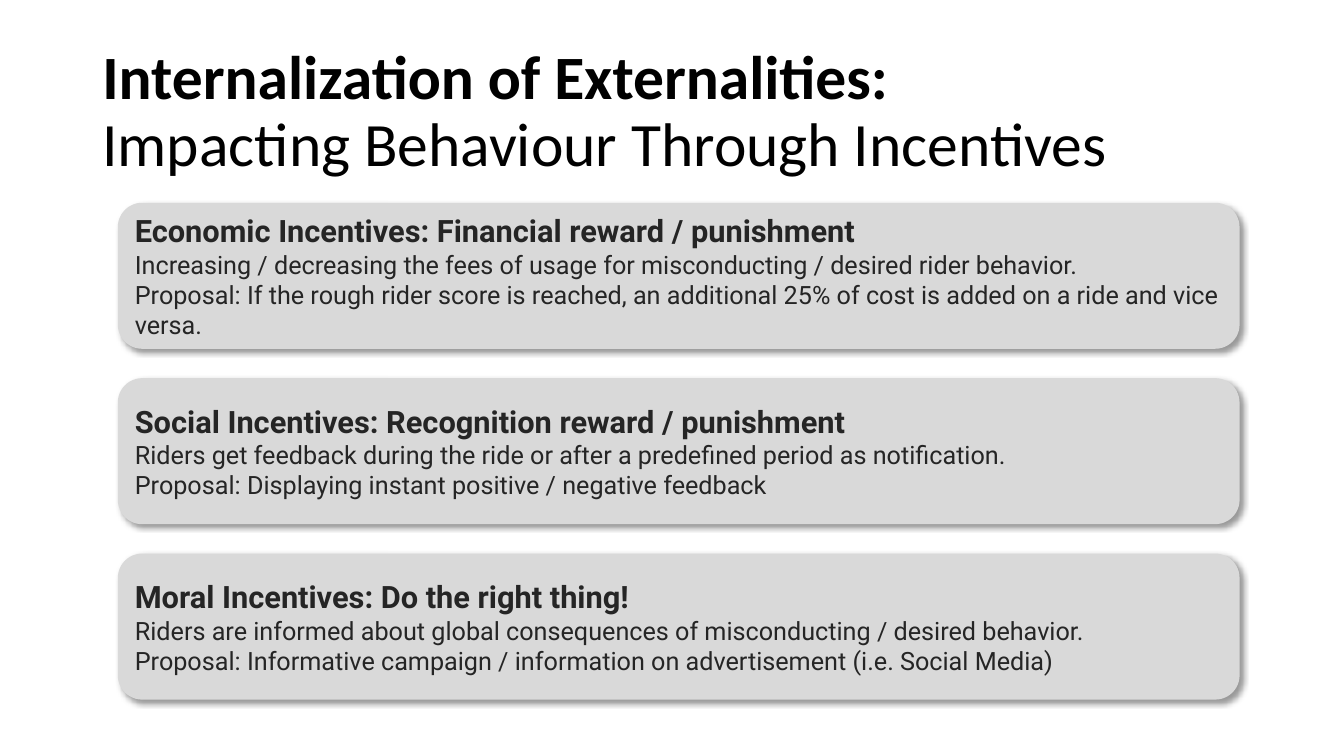
from lxml.etree import SubElement
from pptx import Presentation
from pptx.dml.color import RGBColor
from pptx.enum.shapes import MSO_SHAPE
from pptx.enum.text import MSO_ANCHOR, PP_ALIGN
from pptx.oxml.ns import qn
from pptx.util import Cm, Pt

TITLE = ("Internalization of Externalities:", "Impacting Behaviour Through Incentives")
CARDS = [
    ("Economic Incentives: Financial reward / punishment",
     "Increasing / decreasing the fees of usage for misconducting / desired rider behavior.",
     "Proposal: If the rough rider score is reached, an additional 25% of cost "
     "is added on a ride and vice versa."),
    ("Social Incentives: Recognition reward / punishment",
     "Riders get feedback during the ride or after a predefined period as notification.",
     "Proposal: Displaying instant positive / negative feedback"),
    ("Moral Incentives: Do the right thing!",
     "Riders are informed about global consequences of misconducting / desired behavior.",
     "Proposal: Informative campaign / information on advertisement (i.e. Social Media)"),
]

BLACK = RGBColor(0x00, 0x00, 0x00)
DARK = RGBColor(0x25, 0x25, 0x25)
GREY = RGBColor(0xD9, 0xD9, 0xD9)
LEFT, TOP, WIDTH, HEIGHT, GAP = 2.97, 5.11, 28.27, 3.68, 0.74


def add_run(para, text, font, size, color, bold):
    run = para.add_run()
    run.text = text
    run.font.name = font
    run.font.size = Pt(size)
    run.font.color.rgb = color
    run.font.bold = bold


def add_shade(shape):
    """Give the shape a soft shadow to its lower right."""
    shape.shadow.inherit = False
    effects = shape._element.spPr.find(qn("a:effectLst"))
    shade = SubElement(effects, qn("a:outerShdw"), blurRad=str(Pt(4)), dist=str(Pt(3)),
                       dir=str(45 * 60000), algn="tl", rotWithShape="0")
    color = SubElement(shade, qn("a:srgbClr"), val="000000")
    SubElement(color, qn("a:alpha"), val="40000")


def add_title(slide):
    box = slide.shapes.add_textbox(Cm(2.33), Cm(1.01), Cm(29.21), Cm(3.68))
    frame = box.text_frame
    frame.word_wrap = True
    frame.vertical_anchor = MSO_ANCHOR.MIDDLE
    para = frame.paragraphs[0]
    para.line_spacing = 0.9
    add_run(para, TITLE[0], "Calibri", 44, BLACK, True)
    para.add_line_break()
    add_run(para, TITLE[1], "Calibri", 44, BLACK, False)


def add_card(slide, row, lines):
    top = TOP + row * (HEIGHT + GAP)
    card = slide.shapes.add_shape(MSO_SHAPE.ROUNDED_RECTANGLE,
                                  Cm(LEFT), Cm(top), Cm(WIDTH), Cm(HEIGHT))
    card.fill.solid()
    card.fill.fore_color.rgb = GREY
    card.line.fill.background()
    add_shade(card)
    frame = card.text_frame
    frame.word_wrap = True
    frame.vertical_anchor = MSO_ANCHOR.MIDDLE
    for i, line in enumerate(lines):
        para = frame.add_paragraph() if i else frame.paragraphs[0]
        para.alignment = PP_ALIGN.LEFT
        add_run(para, line, "Roboto", 18 if i else 22, DARK, i == 0)


def main():
    deck = Presentation()
    deck.slide_width, deck.slide_height = Cm(33.87), Cm(19.05)
    slide = deck.slides.add_slide(deck.slide_layouts[6])
    add_title(slide)
    for row, lines in enumerate(CARDS):
        add_card(slide, row, lines)
    deck.save("out.pptx")


if __name__ == "__main__":
    main()
